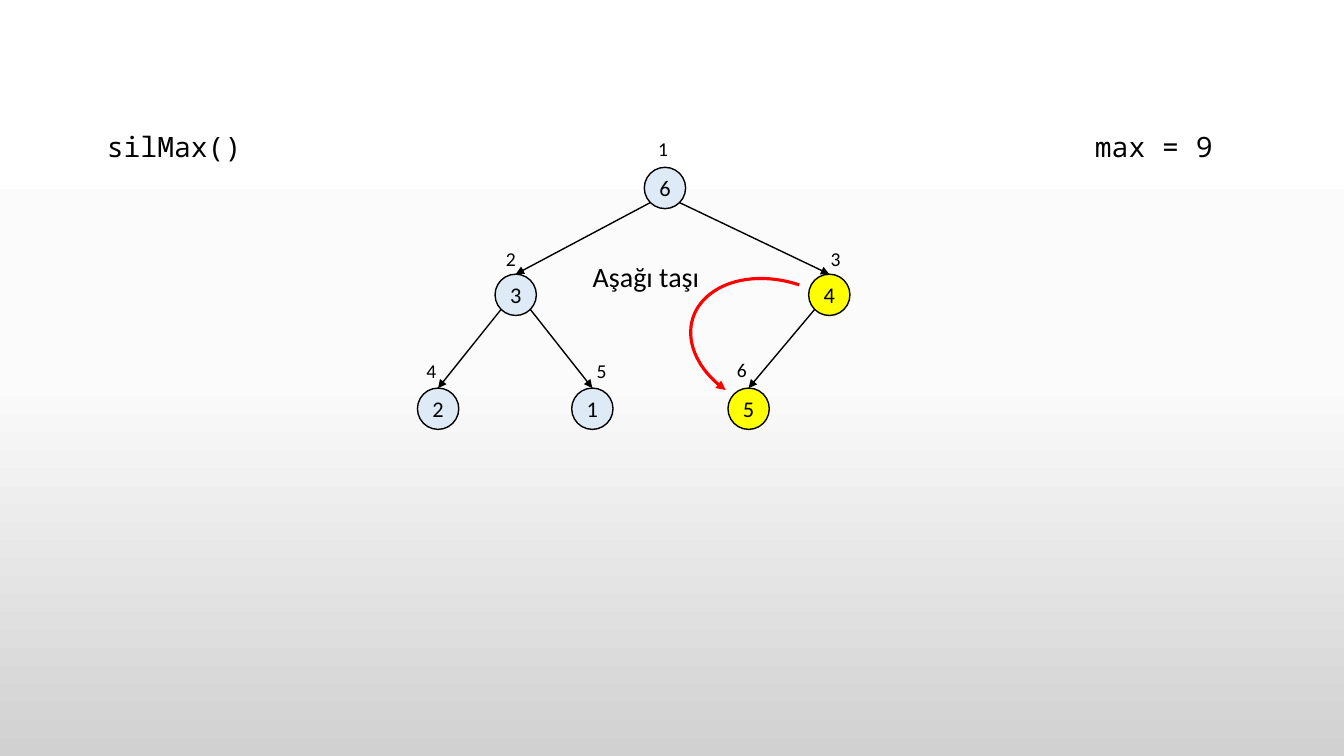
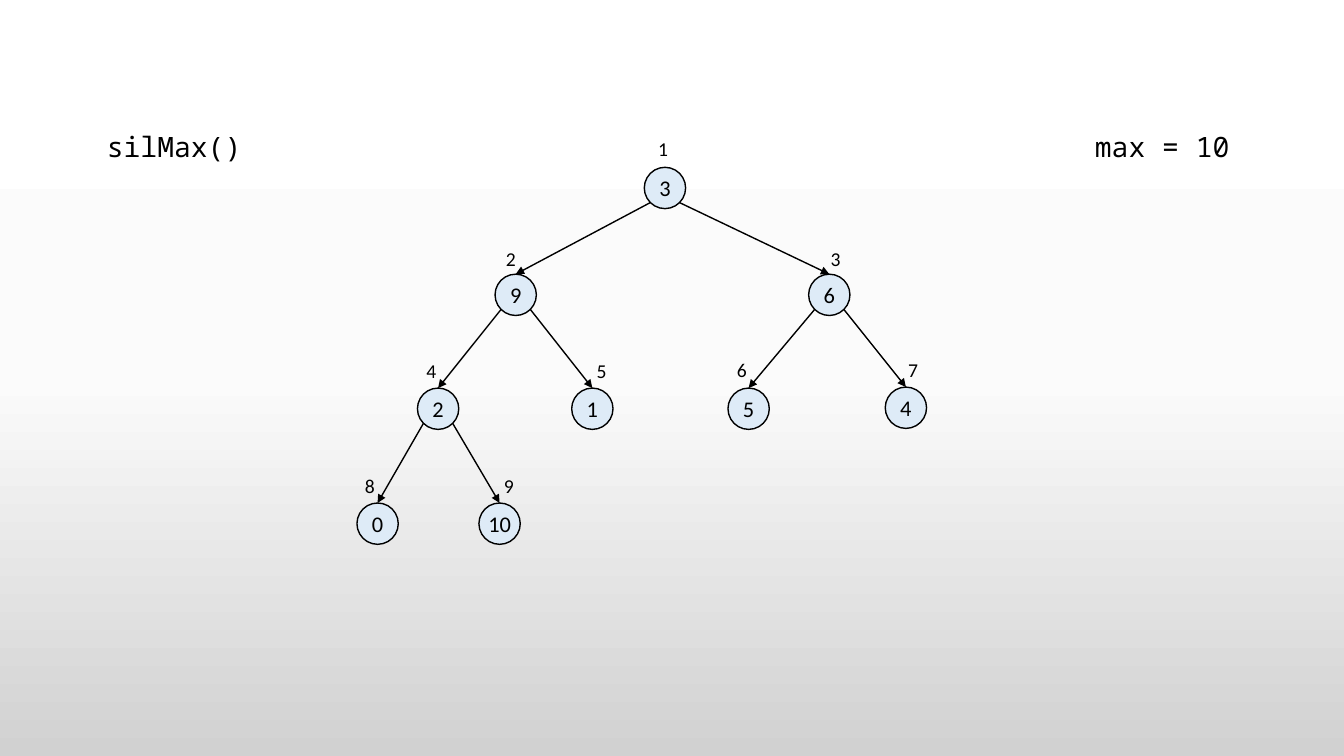
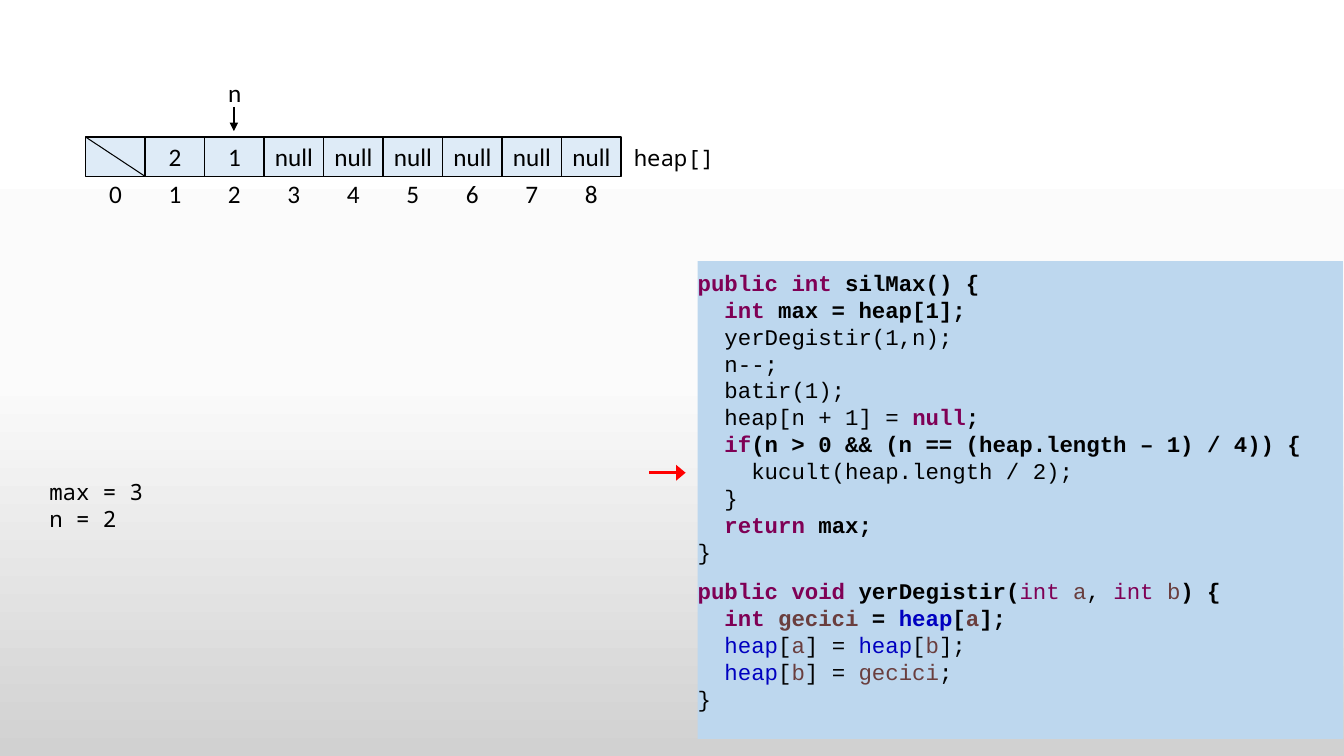
from copy import deepcopy
from dataclasses import dataclass, field
from typing import Any, NamedTuple

from lxml import etree
from pptx import Presentation
from pptx import util as u
from pptx.dml.color import RGBColor
from pptx.enum import shapes, text
from pptx.oxml import ns
from pptx.shapes import autoshape, connector, shapetree
from pptx.slide import Slide, SlideMaster


@dataclass(frozen=True)
class Theme:
    ink: str = "000000"
    node: str = "DEEBF7"
    moved: str = "FFFF00"
    accent: str = "FF0000"
    code_panel: str = "BDD7EE"
    keyword: str = "7F0055"
    argument: str = "6A3E3E"
    member: str = "0000C0"
    backdrop: tuple[tuple[float, str], ...] = ((0, "FFFFFF"), (0.5, "FBFBFB"), (1, "D1D1D1"))
    body_font: str = "Calibri"
    mono_font: str = "Noto Sans Mono"
    code_font: str = "Courier New"
    large: int = 20
    medium: int = 18
    regular: int = 16
    small: int = 14
    thin: float = 0.75
    outline: float = 1
    pointer: float = 1.5
    bold_line: float = 2.25


THEME = Theme()


class Box(NamedTuple):
    left: float
    top: float
    width: float
    height: float


class Point(NamedTuple):
    x: float
    y: float


class Place(NamedTuple):
    left: float
    top: float
    label_left: float
    label_top: float


class Ink(NamedTuple):
    color: str
    bold: bool = False


@dataclass(frozen=True)
class Label:
    box: Box
    lines: tuple[str, ...]
    size: int
    font: str = THEME.body_font
    frame: dict[str, Any] = field(default_factory=dict)
    paragraph: dict[str, Any] = field(default_factory=dict)


@dataclass(frozen=True)
class HeapStep:
    values: tuple[int, ...]
    result: str
    result_width: float
    moved: tuple[int, ...] = ()


NODE_SIZE = 0.41
NODE_PLACES = (
    Place(6.39, 1.66, 6.43, 1.31),
    Place(4.91, 2.72, 4.92, 2.40),
    Place(8.02, 2.72, 8.14, 2.40),
    Place(4.14, 3.85, 4.13, 3.51),
    Place(5.67, 3.85, 5.82, 3.51),
    Place(7.22, 3.85, 7.21, 3.50),
    Place(8.78, 3.84, 8.91, 3.50),
    Place(3.54, 4.99, 3.52, 4.65),
    Place(4.75, 4.99, 4.90, 4.65),
)
EDGE_INSET = 0.06

NO_INSETS = dict.fromkeys(("margin_left", "margin_top", "margin_right", "margin_bottom"), 0)
CENTERED = {"alignment": text.PP_ALIGN.CENTER}
MIDDLE = {"vertical_anchor": text.MSO_ANCHOR.MIDDLE}
GROWING = {"auto_size": text.MSO_AUTO_SIZE.SHAPE_TO_FIT_TEXT}

REMOVAL = HeapStep((6, 3, 4, 2, 1, 5), "max = 9", 1.33, moved=(3, 6))
FULL_HEAP = HeapStep((3, 9, 6, 2, 1, 5, 4, 0, 10), "max = 10", 1.57)

CELLS = ("", "2", "1") + ("null",) * 6
CELL = Box(0.85, 1.36, 0.59, 0.39)

INKS = {
    "plain": Ink(THEME.ink),
    "strong": Ink(THEME.ink, True),
    "type": Ink(THEME.keyword),
    "keyword": Ink(THEME.keyword, True),
    "arg": Ink(THEME.argument),
    "local": Ink(THEME.argument, True),
    "member": Ink(THEME.member),
    "field": Ink(THEME.member, True),
}

METHODS = (
    (
        (("keyword", "public int "), ("strong", "silMax() {")),
        (("keyword", "  int "), ("strong", "max = heap[1];")),
        (("plain", "  yerDegistir(1,n);"),),
        (("plain", "  n--;"),),
        (("plain", "  batir(1);"),),
        (("plain", "  heap[n + 1] = "), ("keyword", "null"), ("strong", ";")),
        (("keyword", "  if"), ("strong", "(n > 0 && (n == (heap.length – 1) / 4)) {")),
        (("plain", "    kucult(heap.length / 2);"),),
        (("plain", "  }"),),
        (("keyword", "  return "), ("strong", "max;")),
        (("plain", "}"),),
    ),
    (
        (("keyword", "public void "), ("strong", "yerDegistir("), ("type", "int "), ("arg", "a"),
         ("plain", ", "), ("type", "int "), ("arg", "b"), ("strong", ") {")),
        (("keyword", "  int "), ("local", "gecici"), ("strong", " = "), ("field", "heap"),
         ("strong", "["), ("local", "a"), ("strong", "];")),
        (("member", "  heap"), ("plain", "["), ("arg", "a"), ("plain", "] = "),
         ("member", "heap"), ("plain", "["), ("arg", "b"), ("plain", "];")),
        (("member", "  heap"), ("plain", "["), ("arg", "b"), ("plain", "] = "),
         ("arg", "gecici"), ("plain", ";")),
        (("plain", "}"),),
    ),
)


def apply(target: Any, values: dict[str, Any]) -> None:
    for name, value in values.items():
        setattr(target, name, value)


def inches(box: tuple[float, ...]) -> list[u.Length]:
    return [u.Inches(length) for length in box]


def add_run(paragraph: Any, words: str, font: str, size: int, ink: Ink) -> None:
    run = paragraph.add_run()
    run.text = words
    apply(run.font, {"name": font, "size": u.Pt(size), "bold": ink.bold})
    run.font.color.rgb = RGBColor.from_string(ink.color)


def write(shape: autoshape.Shape, label: Label) -> None:
    frame = shape.text_frame
    apply(frame, label.frame)
    for index, line in enumerate(label.lines):
        paragraph = frame.add_paragraph() if index else frame.paragraphs[0]
        apply(paragraph, label.paragraph)
        add_run(paragraph, line, label.font, label.size, INKS["plain"])


def add_label(canvas: shapetree.GroupShapes | shapetree.SlideShapes, label: Label) -> None:
    box = canvas.add_textbox(*inches(label.box))
    write(box, Label(label.box, label.lines, label.size, label.font,
                     {"word_wrap": False, **GROWING, **label.frame}, label.paragraph))


def add_panel(canvas: shapetree.GroupShapes | shapetree.SlideShapes, kind: shapes.MSO_SHAPE,
              box: Box, fill: str | None, line: str | None,
              width: float = THEME.outline) -> autoshape.Shape:
    panel = canvas.add_shape(kind, *inches(box))
    panel.shadow.inherit = False
    for paint, color in ((panel.fill, fill), (panel.line.fill, line)):
        if color:
            paint.solid()
            paint.fore_color.rgb = RGBColor.from_string(color)
        else:
            paint.background()
    if line:
        panel.line.width = u.Pt(width)
    return panel


def add_arrowhead(shape: autoshape.Shape | connector.Connector, end: str,
                  breadth: str = "med") -> None:
    outline = shape.element.spPr.find(ns.qn("a:ln"))
    etree.SubElement(outline, ns.qn(f"a:{end}"), type="triangle", w=breadth)


def add_line(canvas: shapetree.GroupShapes | shapetree.SlideShapes, start: Point, stop: Point,
             width: float = THEME.outline, color: str = THEME.ink,
             arrow: str | None = "med") -> None:
    line = canvas.add_connector(shapes.MSO_CONNECTOR.STRAIGHT, *inches(start + stop))
    line.line.color.rgb = RGBColor.from_string(color)
    line.line.width = u.Pt(width)
    if arrow:
        add_arrowhead(line, "tailEnd", arrow)
    etree.SubElement(line.element.spPr, ns.qn("a:effectLst"))


def paint_backdrop(master: SlideMaster) -> None:
    fill = master.background.fill
    fill.gradient()
    fill.gradient_angle = 270
    stops = master.element.find(f".//{ns.qn('a:gsLst')}")
    stops.append(deepcopy(stops[-1]))
    for stop, (position, color) in zip(fill.gradient_stops, THEME.backdrop):
        stop.position = position
        stop.color.rgb = RGBColor.from_string(color)


def draw_edge(canvas: shapetree.GroupShapes, number: int) -> None:
    parent, child = NODE_PLACES[number // 2 - 1], NODE_PLACES[number - 1]
    reach = NODE_SIZE - EDGE_INSET
    start = Point(parent.left + (reach if number % 2 else EDGE_INSET), parent.top + reach)
    add_line(canvas, start, Point(child.left + NODE_SIZE / 2, child.top))


def draw_tree(slide: Slide, step: HeapStep) -> None:
    canvas = slide.shapes.add_group_shape().shapes
    for number, (value, place) in enumerate(zip(step.values, NODE_PLACES), 1):
        if number > 1:
            draw_edge(canvas, number)
        box = Box(place.left, place.top, NODE_SIZE, NODE_SIZE)
        fill = THEME.moved if number in step.moved else THEME.node
        node = add_panel(canvas, shapes.MSO_SHAPE.OVAL, box, fill, THEME.ink)
        write(node, Label(box, (str(value),), THEME.regular,
                          frame={**NO_INSETS, **MIDDLE}, paragraph=CENTERED))
        add_label(canvas, Label(Box(place.label_left, place.label_top, 0.3, 0.34),
                                (str(number),), THEME.small))


def draw_heap_step(slide: Slide, step: HeapStep) -> None:
    draw_tree(slide, step)
    for box, words in ((Box(1.06, 1.07, 2.07, 0.55), "silMax()"),
                       (Box(10.86, 1.07, step.result_width, 0.61), step.result)):
        add_label(slide.shapes, Label(box, (words,), THEME.large, THEME.mono_font,
                                      {"word_wrap": True, "margin_left": 0},
                                      {"line_spacing": 1.5}))


def draw_move_down(slide: Slide) -> None:
    sweep = add_panel(slide.shapes, shapes.MSO_SHAPE.ARC, Box(7.08, 2.54, 1.27, 1.77),
                      None, THEME.accent, THEME.bold_line)
    sweep.rotation = 287.8
    for index, sweep_end in enumerate((126.92, 1.05)):
        sweep.adjustments[index] = sweep_end
    add_arrowhead(sweep, "headEnd")
    add_label(slide.shapes, Label(Box(5.78, 2.53, 1.27, 0.44), ("Aşağı taşı",), THEME.large))


def draw_array(slide: Slide) -> None:
    canvas = slide.shapes.add_group_shape().shapes
    for index, value in enumerate(CELLS):
        box = CELL._replace(left=CELL.left + index * CELL.width)
        cell = add_panel(canvas, shapes.MSO_SHAPE.RECTANGLE, box, THEME.node, THEME.ink)
        if value:
            write(cell, Label(box, (value,), THEME.medium,
                              frame={**NO_INSETS, **MIDDLE, "word_wrap": False},
                              paragraph=CENTERED))
        add_label(canvas, Label(Box(box.left + 0.13, 1.72, 0.33, 0.4), (str(index),),
                                THEME.medium, paragraph=CENTERED))
    add_line(canvas, Point(CELL.left, CELL.top),
             Point(CELL.left + CELL.width, CELL.top + CELL.height), THEME.thin, arrow=None)
    add_label(canvas, Label(Box(6.18, 1.38, 1.01, 0.37), ("heap[]",), THEME.regular,
                            THEME.mono_font, paragraph=CENTERED))


def draw_pointer(slide: Slide) -> None:
    canvas = slide.shapes.add_group_shape().shapes
    add_label(canvas, Label(Box(2.16, 0.72, 0.34, 0.4), ("n",), THEME.medium,
                            paragraph=CENTERED))
    add_line(canvas, Point(2.32, 1.06), Point(2.32, 1.3), THEME.pointer)


def draw_code(slide: Slide) -> None:
    panel = add_panel(slide.shapes, shapes.MSO_SHAPE.RECTANGLE, Box(6.92, 2.59, 6.4, 4.74),
                      THEME.code_panel, None)
    frame = panel.text_frame
    apply(frame, {**NO_INSETS, "margin_top": u.Inches(0.08), "margin_bottom": u.Inches(0.08),
                  "vertical_anchor": text.MSO_ANCHOR.TOP, "word_wrap": True})
    paragraph = frame.paragraphs[0]
    for method_index, method in enumerate(METHODS):
        for line_index, line in enumerate(method):
            if method_index or line_index:
                paragraph = frame.add_paragraph()
            paragraph.alignment = text.PP_ALIGN.LEFT
            if method_index and not line_index:
                paragraph.space_before = u.Pt(9)
            for ink, words in line:
                add_run(paragraph, words, THEME.code_font, THEME.regular, INKS[ink])


def draw_trace(slide: Slide) -> None:
    add_label(slide.shapes, Label(Box(0.39, 4.69, 1.15, 0.64), ("max = 3", "n = 2"),
                                  THEME.regular, THEME.mono_font,
                                  {"vertical_anchor": text.MSO_ANCHOR.BOTTOM}))
    draw_pointer(slide)
    draw_array(slide)
    add_line(slide.shapes, Point(6.44, 4.69), Point(6.8, 4.69), THEME.bold_line, THEME.accent,
             arrow="lg")
    draw_code(slide)


def main() -> None:
    deck = Presentation()
    apply(deck, {"slide_width": u.Inches(13.33), "slide_height": u.Inches(7.5)})
    paint_backdrop(deck.slide_master)
    removal, full_heap, trace = (deck.slides.add_slide(deck.slide_layouts[6]) for _ in range(3))
    draw_heap_step(removal, REMOVAL)
    draw_move_down(removal)
    draw_heap_step(full_heap, FULL_HEAP)
    draw_trace(trace)
    deck.save("out.pptx")


if __name__ == "__main__":
    main()
